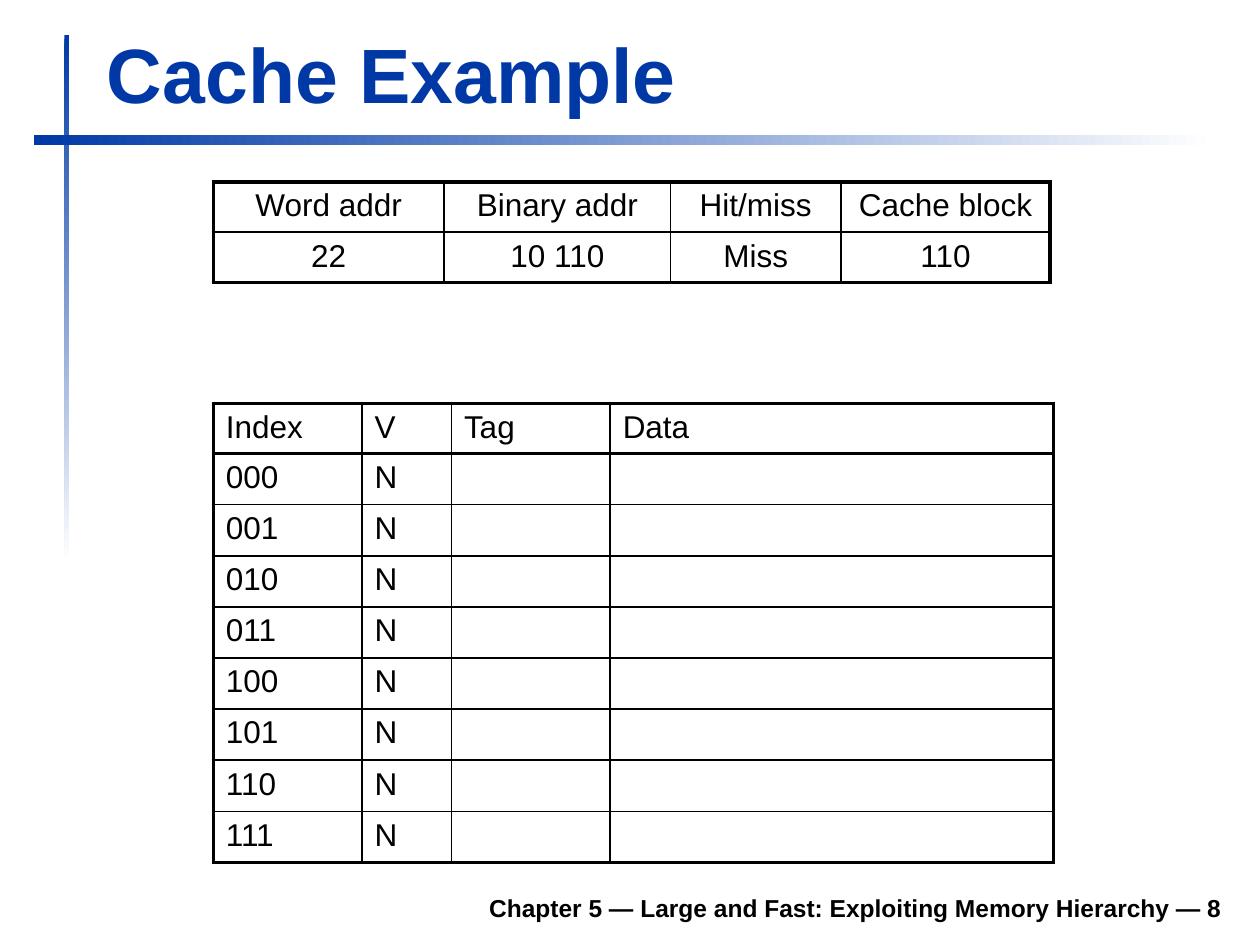
from dataclasses import dataclass

from lxml import etree
from pptx import Presentation
from pptx.dml.color import RGBColor
from pptx.enum import shapes, text
from pptx.oxml import ns
from pptx.util import Cm, Pt


@dataclass(frozen=True)
class Theme:
    accent: RGBColor = RGBColor(0x00, 0x39, 0xA6)
    paper: RGBColor = RGBColor(0xFF, 0xFF, 0xFF)
    ink: RGBColor = RGBColor(0x00, 0x00, 0x00)
    font: str = "Arial"
    title: float = 44
    body: float = 18
    footer: float = 14
    outer_rule: float = 2.25
    header_rule: float = 1.5
    inner_rule: float = 1


@dataclass(frozen=True)
class Box:
    """Position and size in centimetres."""
    left: float
    top: float
    width: float
    height: float

    def lengths(self) -> list:
        return [Cm(v) for v in (self.left, self.top, self.width, self.height)]


@dataclass(frozen=True)
class Grid:
    top: float
    columns: tuple
    rows: list
    align: text.PP_ALIGN


THEME = Theme()
GRID_LEFT, ROW_HEIGHT = 4.3, 1.015

# Each fading bar with its counter-clockwise gradient angle
BARS = [(Box(1.3, 0.71, 0.1, 10.59), 270), (Box(0.69, 2.72, 23.8, 0.2), 0)]

ACCESSES = Grid(
    3.67, (4.65, 4.57, 3.43, 4.22),
    [("Word addr", "Binary addr", "Hit/miss", "Cache block"),
     ("22", "10 110", "Miss", "110")],
    text.PP_ALIGN.CENTER)
CACHE = Grid(
    8.13, (3, 1.8, 3.2, 8.94),
    [("Index", "V", "Tag", "Data")]
    + [(f"{index:03b}", "N", "", "") for index in range(8)],
    text.PP_ALIGN.LEFT)


def write(paragraph, words: str, size: float, color: RGBColor,
          align: text.PP_ALIGN, bold: bool = False) -> None:
    paragraph.alignment = align
    run = paragraph.add_run()
    run.text = words
    run.font.color.rgb = color
    style = {"name": THEME.font, "size": Pt(size), "bold": bold}
    for key, value in style.items():
        setattr(run.font, key, value)


def set_frame(frame) -> None:
    style = {"word_wrap": True, "auto_size": text.MSO_AUTO_SIZE.NONE,
             "vertical_anchor": text.MSO_ANCHOR.BOTTOM}
    for key, value in style.items():
        setattr(frame, key, value)


def add_bar(slide, box: Box, angle: float) -> None:
    bar = slide.shapes.add_shape(shapes.MSO_SHAPE.RECTANGLE, *box.lengths())
    bar.shadow.inherit = False
    bar.line.fill.background()
    bar.fill.gradient()
    bar.fill.gradient_angle = angle
    for stop, color in zip(bar.fill.gradient_stops, (THEME.accent, THEME.paper)):
        stop.color.rgb = color


def set_borders(cell, widths: dict) -> None:
    """Place border lines, keyed L, R, T, B in that order, before the fill."""
    properties = cell._tc.get_or_add_tcPr()
    for place, (side, width) in enumerate(widths.items()):
        line = etree.Element(ns.qn(f"a:ln{side}"), w=str(Pt(width)))
        fill = etree.SubElement(line, ns.qn("a:solidFill"))
        etree.SubElement(fill, ns.qn("a:srgbClr"), val=str(THEME.ink))
        properties.insert(place, line)


def row_rule(edge: int, last: int) -> float:
    """Width of the horizontal rule above row number edge."""
    if edge in (0, last):
        return THEME.outer_rule
    return THEME.header_rule if edge == 1 else THEME.inner_rule


def column_rule(edge: int, last: int) -> float:
    return THEME.outer_rule if edge in (0, last) else THEME.inner_rule


def add_grid(slide, grid: Grid) -> None:
    row_count, column_count = len(grid.rows), len(grid.columns)
    box = Box(GRID_LEFT, grid.top, sum(grid.columns), ROW_HEIGHT * row_count)
    table = slide.shapes.add_table(row_count, column_count, *box.lengths()).table
    table.first_row = table.horz_banding = False
    for column, width in zip(table.columns, grid.columns):
        column.width = Cm(width)
    for r, entries in enumerate(grid.rows):
        table.rows[r].height = Cm(ROW_HEIGHT)
        for c, entry in enumerate(entries):
            cell = table.cell(r, c)
            cell.fill.background()
            set_borders(cell, {"L": column_rule(c, column_count),
                               "R": column_rule(c + 1, column_count),
                               "T": row_rule(r, row_count),
                               "B": row_rule(r + 1, row_count)})
            if entry:
                write(cell.text_frame.paragraphs[0], entry, THEME.body,
                      THEME.ink, grid.align)


def add_title(slide, words: str, box: Box) -> None:
    title = slide.shapes.title
    title.left, title.top, title.width, title.height = box.lengths()
    set_frame(title.text_frame)
    write(title.text_frame.paragraphs[0], words, THEME.title, THEME.accent,
          text.PP_ALIGN.LEFT, bold=True)


def add_footer(slide, words: str, box: Box) -> None:
    frame = slide.shapes.add_textbox(*box.lengths()).text_frame
    set_frame(frame)
    write(frame.paragraphs[0], words, THEME.footer, THEME.ink,
          text.PP_ALIGN.RIGHT, bold=True)


def main() -> None:
    deck = Presentation()
    deck.slide_width, deck.slide_height = Cm(25.4), Cm(19.05)
    slide = deck.slides.add_slide(deck.slide_layouts[5])
    for box, angle in BARS:
        add_bar(slide, box, angle)
    add_footer(slide, "Chapter 5 — Large and Fast: Exploiting Memory Hierarchy — 8",
               Box(4.7, 17.73, 20.19, 0.99))
    add_title(slide, "Cache Example", Box(1.9, 0.41, 22.94, 2.11))
    for grid in (ACCESSES, CACHE):
        add_grid(slide, grid)
    deck.save("out.pptx")


if __name__ == "__main__":
    main()
